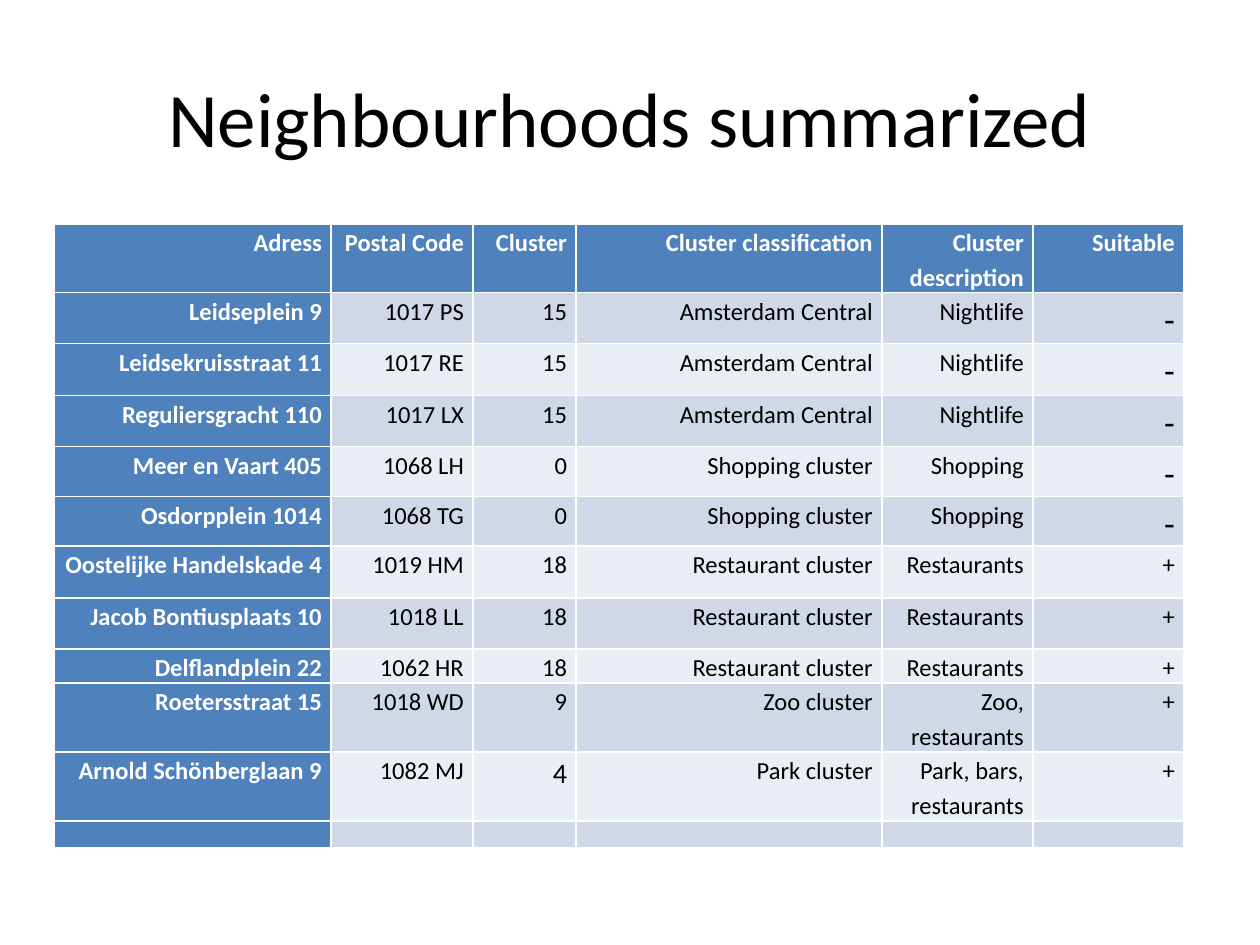
from pptx import Presentation, util as u
from pptx.dml.color import RGBColor
from pptx.enum import text
from pptx.oxml.ns import qn
from lxml import etree

SCALE = 914400 / 126
FONT = "Calibri"
BLACK = RGBColor(0x00, 0x00, 0x00)
WHITE = RGBColor(0xFF, 0xFF, 0xFF)
BLUE = RGBColor(0x4F, 0x81, 0xBD)
BANDS = [RGBColor(0xE9, 0xED, 0xF4), RGBColor(0xD0, 0xD8, 0xE8)]

COLUMN_WIDTHS = [277, 142, 103, 306, 151, 151]
ROW_HEIGHTS = [68, 51, 52, 51, 50, 49, 52, 51, 34, 69, 69, 27]
CENTRAL = ("15", "Amsterdam Central", "Nightlife", "-")
SHOPPING = ("0", "Shopping cluster", "Shopping", "-")
RESTAURANT = ("18", "Restaurant cluster", "Restaurants", "+")
ROWS = [
    ("Adress", "Postal Code", "Cluster", "Cluster classification",
     "Cluster description", "Suitable"),
    ("Leidseplein 9", "1017 PS", *CENTRAL),
    ("Leidsekruisstraat 11", "1017 RE", *CENTRAL),
    ("Reguliersgracht 110", "1017 LX", *CENTRAL),
    ("Meer en Vaart 405", "1068 LH", *SHOPPING),
    ("Osdorpplein 1014", "1068 TG", *SHOPPING),
    ("Oostelijke Handelskade 4", "1019 HM", *RESTAURANT),
    ("Jacob Bontiusplaats 10", "1018 LL", *RESTAURANT),
    ("Delflandplein 22", "1062 HR", *RESTAURANT),
    ("Roetersstraat 15", "1018 WD", "9", "Zoo cluster", "Zoo, restaurants", "+"),
    ("Arnold Schönberglaan 9", "1082 MJ", "4", "Park cluster",
     "Park, bars, restaurants", "+"),
    ("",) * 6,
]
SPECIAL_SIZES = {"-": 20, "4": 16}


def px(length):
    """Turn pixels into EMU."""
    return u.Emu(round(length * SCALE))


def write(frame, words, size=14, color=BLACK, bold=False,
          align=text.PP_ALIGN.RIGHT, spacing=None, before=None):
    """Write one formatted paragraph into a text frame."""
    para = frame.paragraphs[0]
    para.alignment = align
    para.line_spacing = spacing
    para.space_before = before
    span = para.add_run()
    span.text = words
    span.font.name = FONT
    span.font.size = u.Pt(size)
    span.font.bold = bold
    span.font.color.rgb = color


deck = Presentation()
deck.slide_width, deck.slide_height = px(1260), px(945)
page = deck.slides.add_slide(deck.slide_layouts[5])

title = page.shapes.title
title.left, title.top, title.width, title.height = px(63), px(38), px(1134), px(158)
title.text_frame.vertical_anchor = text.MSO_ANCHOR.MIDDLE
write(title.text_frame, "Neighbourhoods summarized", size=44,
      align=text.PP_ALIGN.CENTER)

table = page.shapes.add_table(
    len(ROWS), len(COLUMN_WIDTHS), px(54), px(224),
    px(sum(COLUMN_WIDTHS)), px(sum(ROW_HEIGHTS))).table
table.first_col = True
for column, width in zip(table.columns, COLUMN_WIDTHS):
    column.width = px(width)
for row, height in zip(table.rows, ROW_HEIGHTS):
    row.height = px(height)

for r, values in enumerate(ROWS):
    for c, words in enumerate(values):
        heading = r == 0 or c == 0
        cell = table.cell(r, c)
        cell.fill.solid()
        cell.fill.fore_color.rgb = BLUE if heading else BANDS[r % 2]
        cell.margin_left = cell.margin_right = px(9)
        cell.margin_top = cell.margin_bottom = 0
        if words:
            write(cell.text_frame, words, size=SPECIAL_SIZES.get(words, 14),
                  color=WHITE if heading else BLACK, bold=heading,
                  spacing=1.15, before=u.Pt(12))
        else:
            # A small end mark keeps the empty row low.
            para = cell.text_frame.paragraphs[0]
            etree.SubElement(para._p, qn("a:endParaRPr"), sz="1100")

deck.save("out.pptx")
